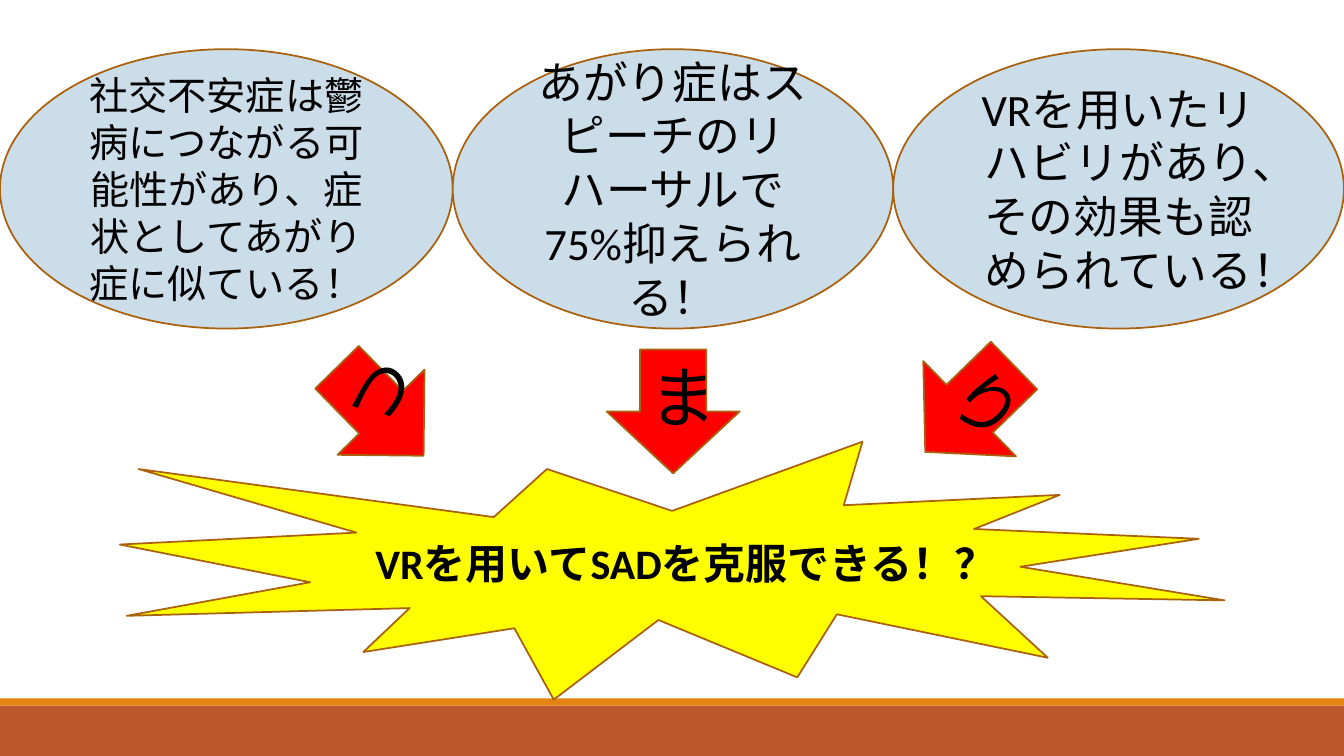
from pptx import Presentation
from pptx.dml.color import RGBColor
from pptx.enum import shapes, text
from pptx.util import Cm, Pt

RUST = RGBColor(0xBD, 0x58, 0x2C)
ORANGE = RGBColor(0xE4, 0x83, 0x12)
BROWN = RGBColor(0xA9, 0x61, 0x0D)
PALE_BLUE = RGBColor(0xCC, 0xDD, 0xEA)
RED = RGBColor(0xFF, 0, 0)
YELLOW = RGBColor(0xFF, 0xFF, 0)
BLACK = RGBColor(0, 0, 0)

SLIDE_W, SLIDE_H = 33.87, 19.05
BANDS = [(17.78, 1.27, RUST), (17.6, 0.18, ORANGE)]
FINDINGS = [
    ("社交不安症は鬱病につながる可能性があり、症状としてあがり症に似ている！", 11.41, 28),
    ("あがり症はスピーチのリハーサルで75%抑えられる！", 11.1, 32),
    ("VRを用いたリハビリがあり、その効果も認められている！", 11.36, 32),
]
ARROWS = [
    ("つ", 8.05, 8.81, 3.07, 315.6),
    ("ま", 15.29, 8.81, 3.35, 0),
    ("り", 22.76, 8.74, 3.35, 45.8),
]
CONCLUSION = "VRを用いてSADを克服できる！？"

KIND = shapes.MSO_SHAPE


def add_shape(kind, x, y, w, h, fill):
    sp = s.shapes.add_shape(kind, Cm(x), Cm(y), Cm(w), Cm(h))
    sp.shadow.inherit = False
    sp.fill.solid()
    sp.fill.fore_color.rgb = fill
    sp.line.fill.background()
    return sp


def add_label(kind, x, y, w, h, fill, words, size, bold=False):
    sp = add_shape(kind, x, y, w, h, fill)
    sp.line.color.rgb = BROWN
    sp.line.width = Pt(1.25)
    tf = sp.text_frame
    tf.word_wrap = True
    tf.vertical_anchor = text.MSO_ANCHOR.MIDDLE
    p = tf.paragraphs[0]
    p.text = words
    p.alignment = text.PP_ALIGN.CENTER
    p.font.name = "Calibri"
    p.font.size = Pt(size)
    p.font.bold = bold
    p.font.color.rgb = BLACK
    return sp


prs = Presentation()
prs.slide_width, prs.slide_height = Cm(SLIDE_W), Cm(SLIDE_H)
s = prs.slides.add_slide(prs.slide_layouts[6])

for y, h, fill in BANDS:
    add_shape(KIND.RECTANGLE, 0, y, SLIDE_W, h, fill)

x = 0
for words, w, size in FINDINGS:
    add_label(KIND.OVAL, x, 1.24, w, 7.04, PALE_BLUE, words, size)
    x += w

for words, x, y, w, angle in ARROWS:
    sp = add_label(KIND.DOWN_ARROW, x, y, w, 3.12, RED, words, 48)
    sp.rotation = angle

add_label(KIND.EXPLOSION1, 3.02, 11.13, 27.84, 6.5, YELLOW, CONCLUSION, 30, True)

prs.save("out.pptx")
